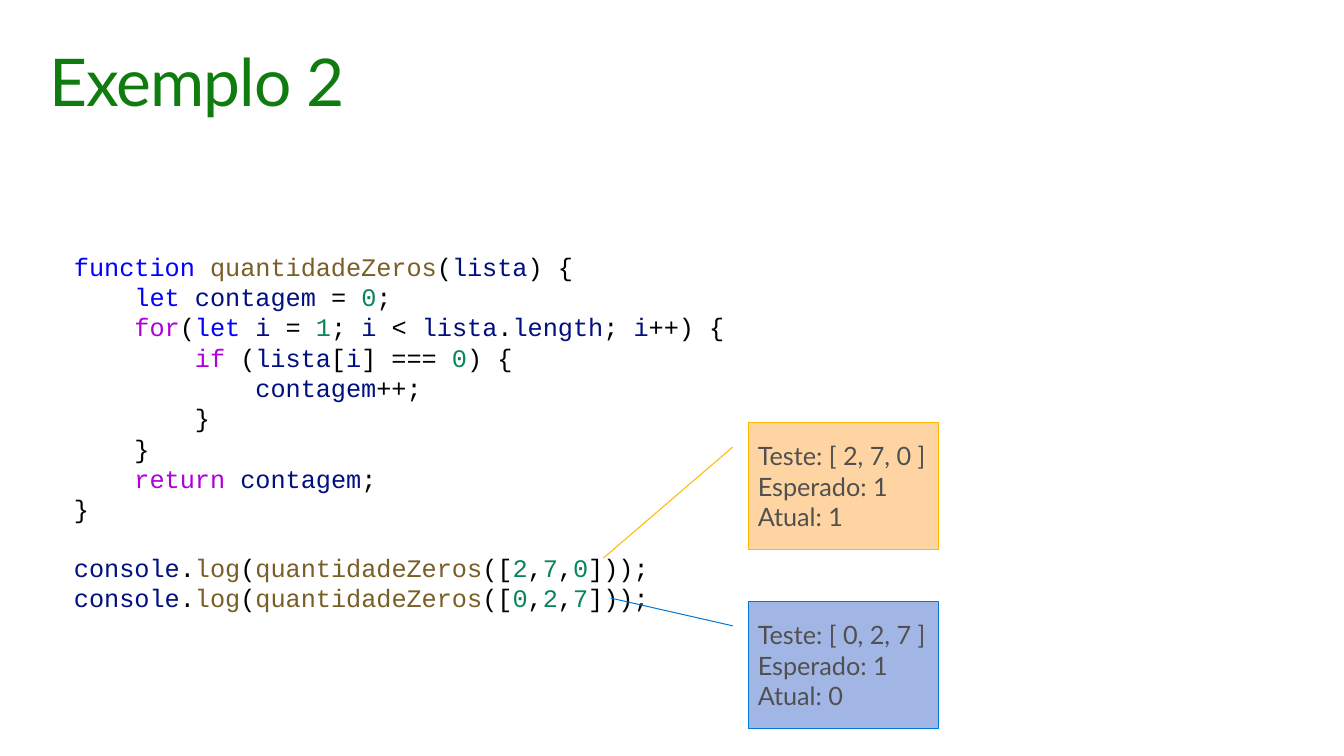
from itertools import groupby

from pptx import Presentation
from pptx import util as u
from pptx.dml.color import RGBColor
from pptx.enum import shapes, text

COLORS = {
    "title": "107C10", "body": "505050",
    "keyword": "0000FF", "control": "AF00DB", "function": "795E26",
    "variable": "001080", "number": "098658", "symbol": "000000",
    "orange": "FED5A2", "orange line": "FEB900",
    "blue": "A2B6E5", "blue line": "0377D6",
}
WORD_KINDS = {
    "function": "keyword", "let": "keyword",
    "for": "control", "if": "control", "return": "control",
    "quantidadeZeros": "function", "log": "function",
}
FUNCTION_CODE = """function quantidadeZeros(lista) {
    let contagem = 0;
    for(let i = 1; i < lista.length; i++) {
        if (lista[i] === 0) {
            contagem++;
        }
    }
    return contagem;
}""".split("\n")
TEST_CODE = [f"console.log(quantidadeZeros([{values}]));" for values in ("2,7,0", "0,2,7")]


def word_kind(word):
    if not word.isalnum():
        return "symbol"
    return "number" if word.isdigit() else WORD_KINDS.get(word, "variable")


class ExampleSlide:
    """Draws a titled code example with result callouts on one slide."""

    font = "Lato"
    code_font = "Courier New"
    size = 18.4

    def __init__(self, deck):
        self.page = deck.slides.add_slide(deck.slide_layouts[6])

    def style(self, span, font, size, color):
        span.font.name = font
        span.font.size = u.Pt(size)
        span.font.color.rgb = RGBColor.from_string(COLORS[color])

    def text_box(self, left, top, width, height):
        box = self.page.shapes.add_textbox(*map(u.Inches, (left, top, width, height)))
        box.text_frame.word_wrap = True
        return box.text_frame

    def title(self, words):
        frame = self.text_box(0.4, 0.4, 12.8, 1)
        frame.margin_top = frame.margin_bottom = u.Inches(0.1)
        frame.text = words
        para = frame.paragraphs[0]
        para.line_spacing = 0.9
        span = para.runs[0]
        self.style(span, self.font, 48, "title")
        span.font._element.set("spc", "-70")

    def code(self, lines, gap_before):
        frame = self.text_box(0.65, 2.49, 6.82, 3.88)
        for index, line in enumerate(lines):
            para = frame.paragraphs[0] if index == 0 else frame.add_paragraph()
            if index == gap_before:
                para.space_before = u.Pt(20.8)
            for _, letters in groupby(line, str.isalnum):
                span = para.add_run()
                span.text = "".join(letters)
                self.style(span, self.code_font, self.size, word_kind(span.text))

    def callout(self, top, color, pointer, lines):
        box = self.page.shapes.add_shape(
            shapes.MSO_SHAPE.LINE_CALLOUT_1,
            *map(u.Inches, (7.57, top, 1.93, 1.28)))
        for index, value in enumerate(pointer):
            box.adjustments[index] = value
        box.shadow.inherit = False
        box.fill.solid()
        box.fill.fore_color.rgb = RGBColor.from_string(COLORS[color])
        box.line.color.rgb = RGBColor.from_string(COLORS[color + " line"])
        box.line.width = u.Pt(0.75)
        frame = box.text_frame
        frame.word_wrap = True
        frame.vertical_anchor = text.MSO_ANCHOR.MIDDLE
        frame.text = "\n".join(lines)
        for para in frame.paragraphs:
            para.alignment = text.PP_ALIGN.JUSTIFY
            self.style(para.runs[0], self.font, self.size, "body")


def main():
    deck = Presentation()
    deck.slide_width, deck.slide_height = u.Inches(13.6), u.Inches(7.65)
    example = ExampleSlide(deck)
    example.title("Exemplo 2")
    example.code(FUNCTION_CODE + TEST_CODE, gap_before=len(FUNCTION_CODE))
    example.callout(4.28, "orange", (0.19, -0.08, 1.07, -0.76),
                    ("Teste: [ 2, 7, 0 ]", "Esperado: 1", "Atual: 1"))
    example.callout(6.09, "blue", (0.19, -0.08, -0.03, -0.72),
                    ("Teste: [ 0, 2, 7 ]", "Esperado: 1", "Atual: 0"))
    deck.save("out.pptx")


if __name__ == "__main__":
    main()
